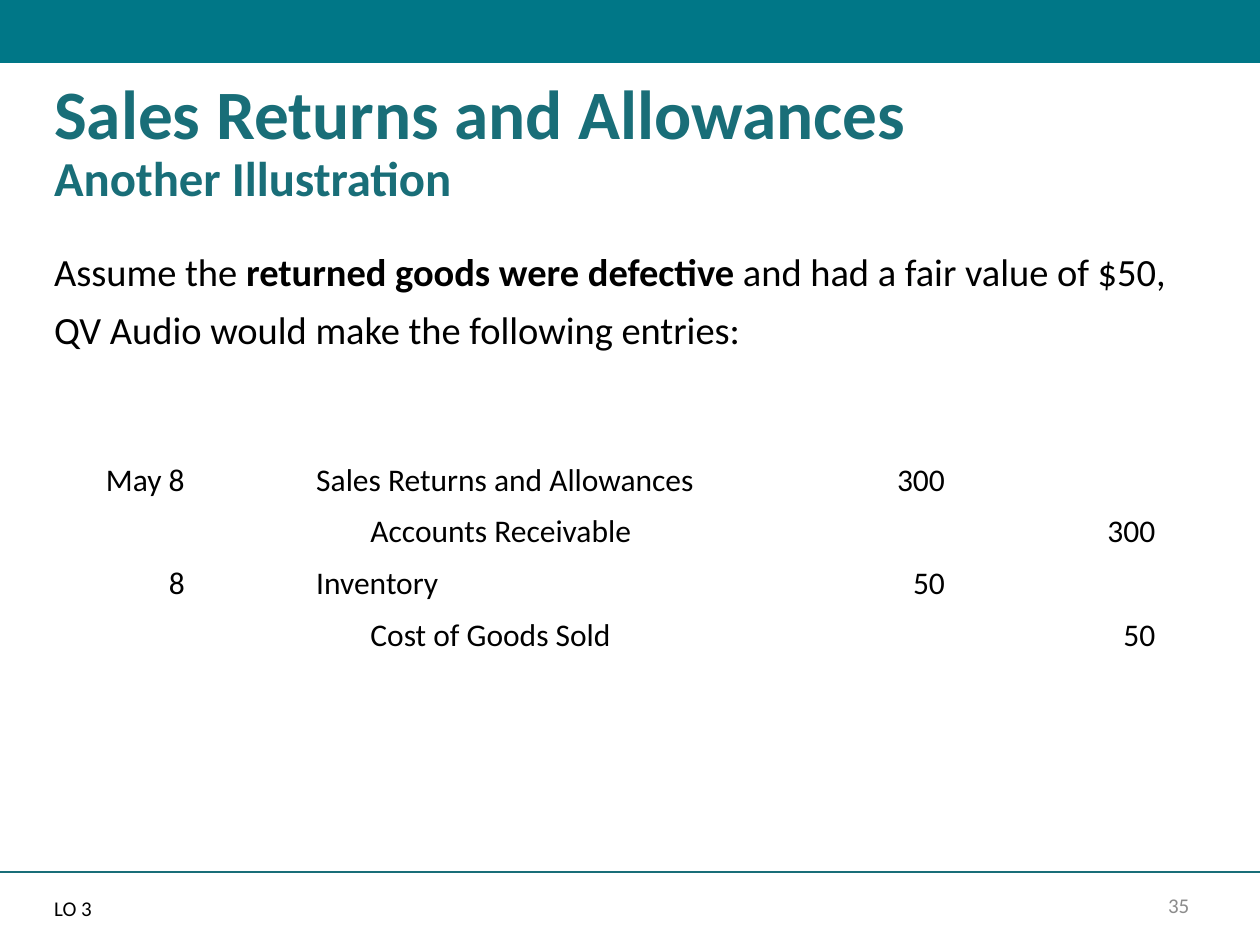
from pptx import Presentation
from pptx.dml.color import RGBColor
from pptx.enum.shapes import MSO_CONNECTOR, MSO_SHAPE
from pptx.enum.text import MSO_ANCHOR, MSO_AUTO_SIZE, PP_ALIGN
from pptx.oxml.ns import qn
from pptx.util import Inches, Pt
from lxml.etree import SubElement

COLORS = {
    "banner": "007787",
    "title": "196E78",
    "text": "000000",
    "number": "8C8C8C",
}
FONT = "Calibri"
COLUMN_WIDTHS = [1.67, 3.52, 1.67, 1.67]
ROW_HEIGHT = 0.41
CREDIT_INDENT = 0.43
DAY_INDENT = 0.5
ENTRIES = [
    ("May 8", "Sales Returns and Allowances", "300", ""),
    ("", "Accounts Receivable", "", "300"),
    ("8", "Inventory", "50", ""),
    ("", "Cost of Goods Sold", "", "50"),
]


def color(name):
    return RGBColor.from_string(COLORS[name])


def add_text(paragraph, text, size=18, bold=False, fill="text"):
    run = paragraph.add_run()
    run.text = text
    run.font.name = FONT
    run.font.size = Pt(size)
    run.font.bold = bold
    run.font.color.rgb = color(fill)


def set_indent(paragraph, first_line=0):
    properties = paragraph._p.get_or_add_pPr()
    properties.set("marL", "0")
    properties.set("indent", str(Inches(first_line)))
    return properties


def place_placeholder(shape, left, top, width, height, line_spacing):
    shape.left, shape.top = Inches(left), Inches(top)
    shape.width, shape.height = Inches(width), Inches(height)
    frame = shape.text_frame
    frame.word_wrap = True
    frame.auto_size = MSO_AUTO_SIZE.NONE
    frame.vertical_anchor = MSO_ANCHOR.TOP
    paragraph = frame.paragraphs[0]
    SubElement(set_indent(paragraph), qn("a:buNone"))
    paragraph.alignment = PP_ALIGN.LEFT
    paragraph.line_spacing = line_spacing
    paragraph.space_before = Pt(0)
    return paragraph


def add_banner(slide):
    banner = slide.shapes.add_shape(MSO_SHAPE.RECTANGLE, 0, 0, Inches(10), Inches(0.5))
    banner.shadow.inherit = False
    banner.fill.solid()
    banner.fill.fore_color.rgb = color("banner")
    banner.line.fill.background()


def add_footer_rule(slide):
    rule = slide.shapes.add_connector(
        MSO_CONNECTOR.STRAIGHT, 0, Inches(6.92), Inches(10), Inches(6.92)
    )
    rule.line.color.rgb = color("title")
    rule.line.width = Pt(1)
    SubElement(rule._element.spPr, qn("a:effectLst"))


def add_page_number(slide, number):
    box = slide.shapes.add_textbox(Inches(9.05), Inches(7.04), Inches(0.61), Inches(0.28))
    frame = box.text_frame
    frame.word_wrap = True
    frame.vertical_anchor = MSO_ANCHOR.MIDDLE
    paragraph = frame.paragraphs[0]
    paragraph.alignment = PP_ALIGN.CENTER
    add_text(paragraph, number, size=12, fill="number")


def entry_indent(entry, column):
    if column == 0 and entry[0].isdigit():
        return DAY_INDENT
    if column == 1 and entry[3]:
        return CREDIT_INDENT
    return 0


def add_journal(slide):
    table = slide.shapes.add_table(
        len(ENTRIES), len(COLUMN_WIDTHS), Inches(0.74), Inches(3.61),
        Inches(sum(COLUMN_WIDTHS)), Inches(ROW_HEIGHT * len(ENTRIES)),
    ).table
    table.first_row = False
    table.horz_banding = False
    for column, width in zip(table.columns, COLUMN_WIDTHS):
        column.width = Inches(width)
    for row, entry in enumerate(ENTRIES):
        table.rows[row].height = Inches(ROW_HEIGHT)
        for column, text in enumerate(entry):
            cell = table.cell(row, column)
            cell.fill.background()
            paragraph = cell.text_frame.paragraphs[0]
            if text:
                set_indent(paragraph, entry_indent(entry, column))
                paragraph.alignment = PP_ALIGN.RIGHT if column > 1 else PP_ALIGN.LEFT
                add_text(paragraph, text)


def main():
    presentation = Presentation()
    presentation.slide_width = Inches(10)
    presentation.slide_height = Inches(7.5)
    slide = presentation.slides.add_slide(presentation.slide_layouts[3])
    title, body, objective = slide.placeholders

    add_banner(slide)
    add_footer_rule(slide)
    add_page_number(slide, "35")

    heading = place_placeholder(title, 0.33, 0.58, 9.25, 1, 0.9)
    add_text(heading, "Sales Returns and Allowances", size=39.6, bold=True, fill="title")
    heading.add_line_break()
    add_text(heading, "Another Illustration", size=27.9, bold=True, fill="title")

    premise = place_placeholder(body, 0.33, 1.83, 9.17, 1, 1.25)
    add_text(premise, "Assume the ", size=22)
    add_text(premise, "returned goods were defective ", size=22, bold=True)
    add_text(
        premise,
        "and had a fair value of $50, QV Audio would make the following entries:",
        size=22,
    )

    add_journal(slide)

    label = place_placeholder(objective, 0.33, 7.08, 0.67, 0.33, 0.9)
    add_text(label, "LO 3", size=12)

    presentation.save("out.pptx")


if __name__ == "__main__":
    main()
